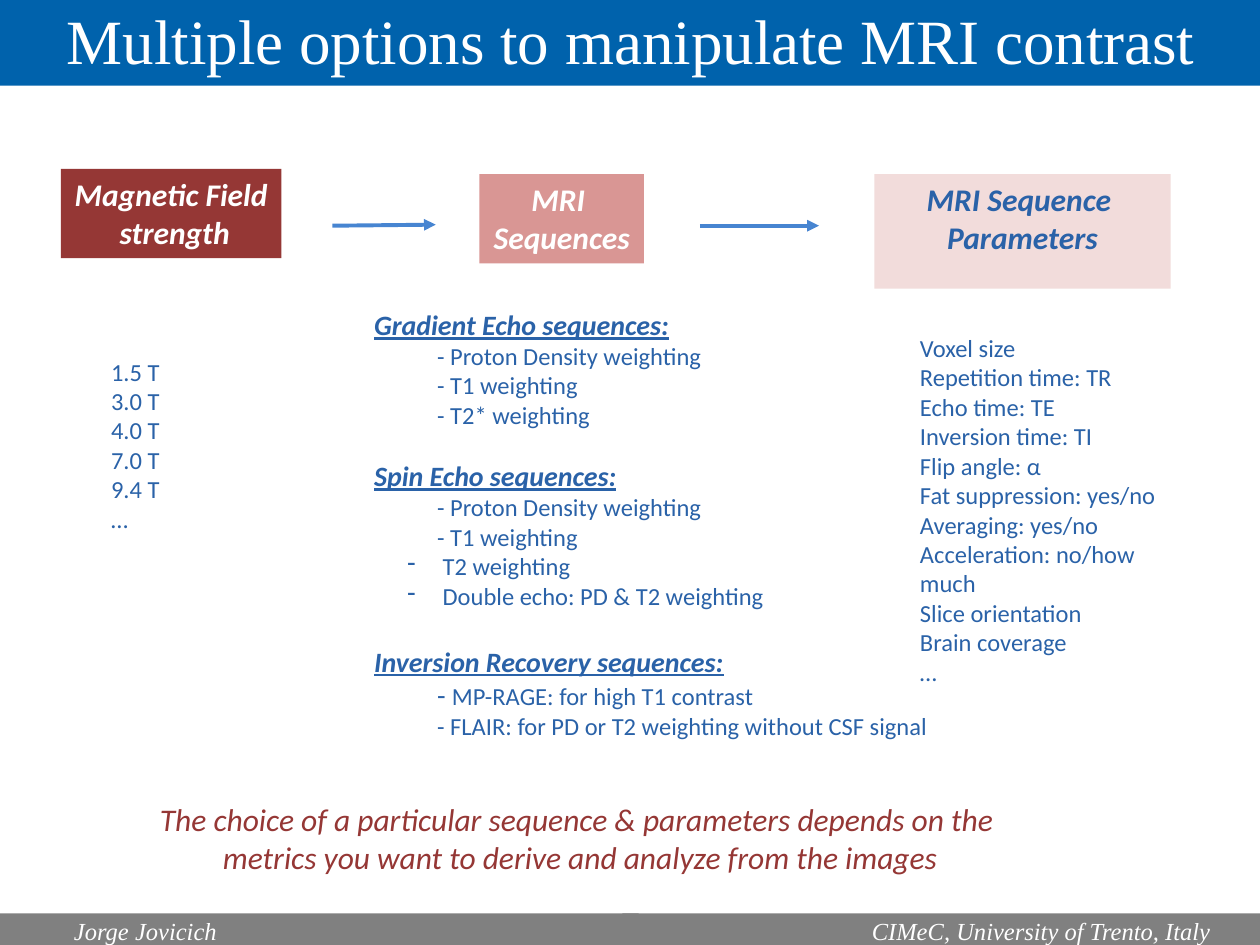
import pptx
import pptx.util
import pptx.dml.color
import pptx.enum.shapes
import pptx.enum.text
import pptx.oxml.ns
from lxml import etree

Pt = pptx.util.Pt
ALIGN = pptx.enum.text.PP_ALIGN
ANCHOR = pptx.enum.text.MSO_ANCHOR

COLORS = {
    "blue": "2A62A8", "arrow": "4785D1", "title": "0062AC", "footer": "808080",
    "dark_red": "953735", "mid_red": "D99694", "pale_red": "F2DCDB", "white": "FFFFFF",
}
SANS, SERIF = "Calibri", "Times New Roman"

# Content: positions are (left, top, width, height) in points
TITLE = "Multiple options to manipulate MRI contrast"
STAGES = [  # lines, position, fill, text colour, wraps
    (["Magnetic Field", " strength"], (34.8, 96.5, 126, 51), "dark_red", "white", False),
    (["MRI ", "Sequences"], (274, 99.5, 94, 51), "mid_red", "white", True),
    (["MRI Sequence ", "Parameters"], (499.6, 99.5, 169.4, 65.5), "pale_red", "blue", True),
]
ARROWS = [((190, 129), (249, 128.4)), ((400, 129), (468, 129))]
LISTS = [
    (["1.5 T", "3.0 T", "4.0 T", "7.0 T", "9.4 T", "…"], (56.4, 200.2, 44, 109)),
    (["Voxel size", "Repetition time: TR", "Echo time: TE", "Inversion time: TI",
      "Flip angle: α", "Fat suppression: yes/no", "Averaging: yes/no",
      "Acceleration: no/how much", "Slice orientation", "Brain coverage", "…"],
     (518.6, 186.8, 171.4, 194)),
]
SEQUENCES = [  # heading, space before, items as (runs of text and size, bulleted)
    ("Gradient Echo sequences:", 0, [
        ([("- Proton Density weighting", 14)], False),
        ([("- T1 weighting", 14)], False),
        ([("- T2* weighting", 14)], False)]),
    ("Spin Echo sequences:", 17, [
        ([("- Proton Density weighting", 14)], False),
        ([("- T1 weighting", 14)], False),
        ([(" T2 weighting", 14)], True),
        ([(" Double echo: PD & T2 weighting", 14)], True)]),
    ("Inversion Recovery sequences:", 19.5, [
        ([("- ", 16), ("MP-RAGE: for high T1 contrast", 14)], False),
        ([("- FLAIR: for PD or T2 weighting without CSF signal", 14)], False)]),
]
SEQUENCES_AT = (206.7, 172, 352, 257)
CONCLUSION = ["The choice of a particular sequence & parameters depends on the ",
              "metrics you want to derive and analyze from the images"]
CONCLUSION_AT = (81.4, 453.6, 500.4, 51)
FOOTER = [("Jorge Jovicich", 0, ALIGN.LEFT), ("CIMeC, University of Trento, Italy", 355.7, ALIGN.RIGHT)]

deck = pptx.Presentation()
deck.slide_width, deck.slide_height = Pt(720), Pt(540)
slide = deck.slides.add_slide(deck.slide_layouts[6])


def rgb(name):
    return pptx.dml.color.RGBColor.from_string(COLORS[name])


def add_run(paragraph, text, size, color, font=SANS, bold=False, italic=False, underline=False):
    run = paragraph.add_run()
    run.text = text
    run.font.size, run.font.name = Pt(size), font
    run.font.bold, run.font.italic, run.font.underline = bold, italic, underline
    run.font.color.rgb = rgb(color)


def add_frame(at, fill=None, anchor=ANCHOR.TOP, wrap=True):
    place = [Pt(v) for v in at]
    if fill:
        box = slide.shapes.add_shape(pptx.enum.shapes.MSO_SHAPE.RECTANGLE, *place)
        box.shadow.inherit = False
        box.fill.solid()
        box.fill.fore_color.rgb = rgb(fill)
        box.line.fill.background()
    else:
        box = slide.shapes.add_textbox(*place)
    frame = box.text_frame
    frame.word_wrap, frame.vertical_anchor = wrap, anchor
    return frame


def next_paragraph(frame, align=ALIGN.LEFT):
    first = frame.paragraphs[0]
    paragraph = first if not first.runs else frame.add_paragraph()
    paragraph.alignment = align
    return paragraph


def add_lines(frame, lines, align, *style, **emphasis):
    for line in lines:
        add_run(next_paragraph(frame, align), line, *style, **emphasis)


# Sequence families in the middle column
sequences = add_frame(SEQUENCES_AT)
for heading, gap, items in SEQUENCES:
    paragraph = next_paragraph(sequences)
    if gap:
        paragraph.space_before = Pt(gap)
    add_run(paragraph, heading, 16, "blue", bold=True, italic=True, underline=True)
    for runs, bulleted in items:
        paragraph = next_paragraph(sequences)
        paragraph.level = 1
        properties = paragraph._p.get_or_add_pPr()
        properties.set("marL", str(Pt(36)))
        properties.set("indent", str(Pt(-17) if bulleted else 0))
        if bulleted:
            etree.SubElement(properties, pptx.oxml.ns.qn("a:buChar")).set("char", "-")
        for text, size in runs:
            add_run(paragraph, text, size, "blue")

# Conclusion
add_lines(add_frame(CONCLUSION_AT), CONCLUSION, ALIGN.CENTER, 18, "dark_red", italic=True)

# Three stages with arrows between them
for lines, at, fill, color, wrap in STAGES:
    add_lines(add_frame(at, fill, wrap=wrap), lines, ALIGN.CENTER, 18, color, bold=True, italic=True)

for start, end in ARROWS:
    arrow = slide.shapes.add_connector(
        pptx.enum.shapes.MSO_CONNECTOR.STRAIGHT, *[Pt(v) for v in start + end])
    arrow.line.color.rgb = rgb("arrow")
    arrow.line.width = Pt(2.25)
    etree.SubElement(arrow.line._get_or_add_ln(), pptx.oxml.ns.qn("a:tailEnd")).set("type", "triangle")
    etree.SubElement(arrow._element.spPr, pptx.oxml.ns.qn("a:effectLst"))

# Field strengths and sequence parameters
for lines, at in LISTS:
    add_lines(add_frame(at), lines, ALIGN.LEFT, 14, "blue")

# Title band
title = add_frame((0, -3.6, 721.4, 52.6), "title", ANCHOR.MIDDLE)
add_lines(title, [TITLE], ALIGN.CENTER, 36, "white", SERIF)

# Footer band
for text, left, align in FOOTER:
    footer = add_frame((left, 522, 365, 19.4), "footer", ANCHOR.MIDDLE)
    footer.margin_left, footer.margin_right = Pt(42.3), Pt(28.8)
    add_lines(footer, [text], align, 14, "white", SERIF, italic=True)

deck.save("out.pptx")
